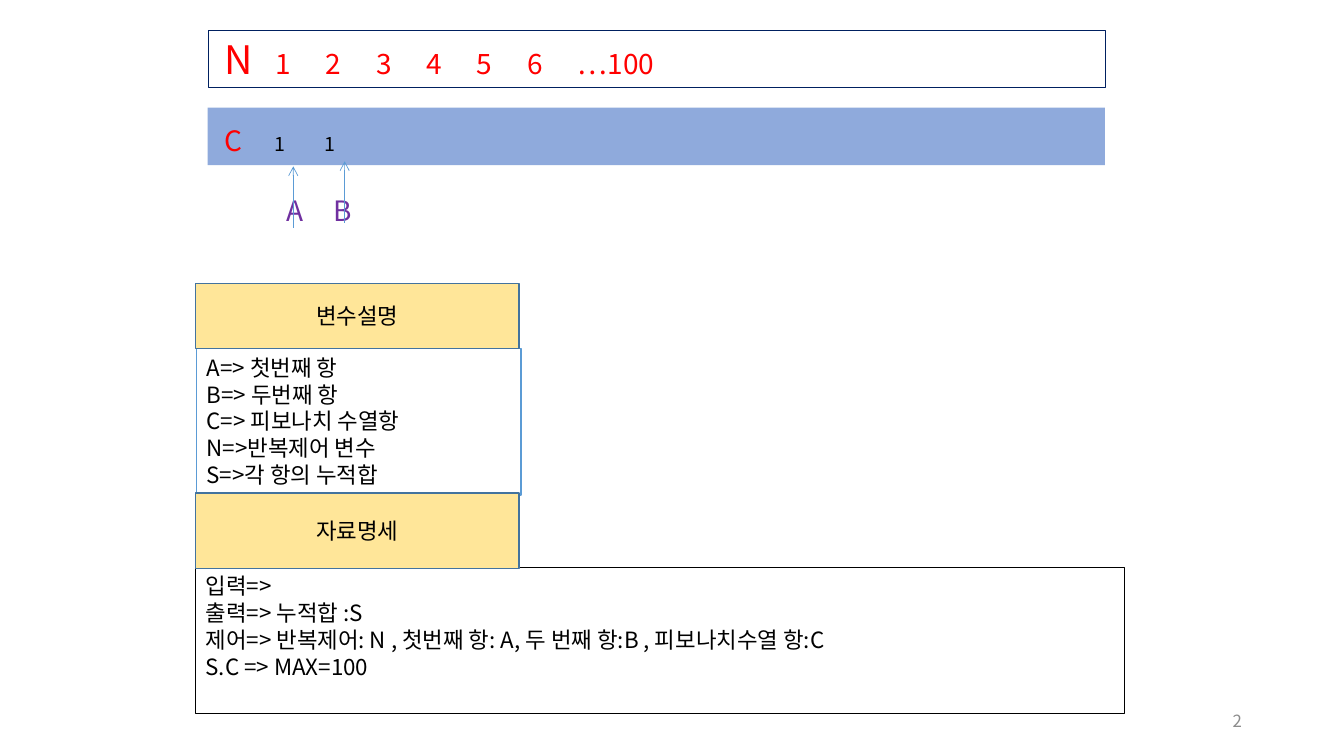
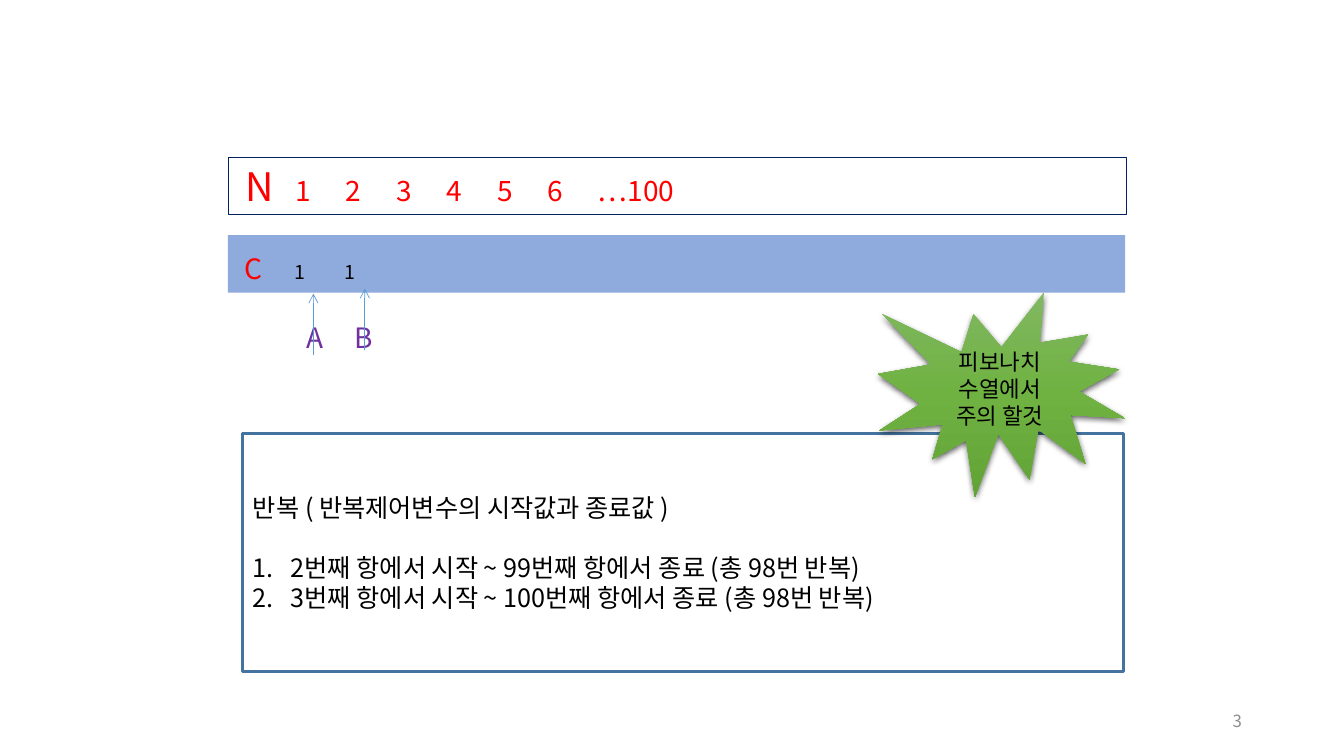
from copy import deepcopy
from dataclasses import dataclass
from typing import NamedTuple, Optional, Sequence, Union

from lxml.etree import SubElement
from pptx import Presentation
from pptx.dml.color import RGBColor
from pptx.enum.shapes import MSO_CONNECTOR as Connector, MSO_SHAPE as Preset
from pptx.enum.text import MSO_ANCHOR as Anchor, MSO_AUTO_SIZE as AutoSize, PP_ALIGN as Align
from pptx.oxml.ns import qn
from pptx.util import Pt

FONT = "Noto Sans CJK KR"
LINE_HEIGHT = 1.2
COLOURS = {
    "black": "000000", "white": "FFFFFF", "red": "FF0000", "purple": "7030A0",
    "navy": "002060", "band": "8FAADC", "blue": "5B9BD5", "steel": "43739E",
    "yellow": "FFE699", "grey": "8C8C8C",
    "green_top": "81B861", "green_middle": "6FB242", "green_bottom": "62A336",
}


class Box(NamedTuple):
    left: float
    top: float
    width: float
    height: float

    def moved(self, across: float, down: float) -> "Box":
        return Box(self.left + across, self.top + down, self.width, self.height)


class Run(NamedTuple):
    text: str
    size: float
    colour: str


@dataclass(frozen=True)
class Style:
    fill: Optional[str] = None
    line: Optional[str] = None
    line_width: float = 0.75


@dataclass(frozen=True)
class Pointer:
    label: str
    label_left: float
    arrow_left: float
    arrow_top: float


# Shared parts
OUTLINED = Style(line="navy")
BAND = Style(fill="band")
HEADING = Style(fill="yellow", line="steel", line_width=1)
ROW_INDENT = 4.5
NUMBER_BOX = Box(678.2, 500.4, 216, 28.8)

N_BOX = Box(149, 21.6, 641, 41)
C_BOX = Box(148.3, 77, 641, 41)
N_TABS = [31] + [69 + 42.5 * step for step in range(5)] + [268]
C_TABS = [28, 60.8]
N_RUNS = [
    Run("N", 28, "red"),
    Run("\t" + "\t".join([*map(str, range(1, 7)), "…100"]), 20, "red"),
]
C_RUNS = [Run("C", 20, "red"), Run("\t", 28, "red"), Run("1\t1", 14, "black")]
POINTERS = [Pointer("A", 193, 209.5, 118.8), Pointer("B", 226.8, 246.2, 115.2)]
ARROW_LENGTH = 43.9


def rgb(name: str) -> RGBColor:
    return RGBColor.from_string(COLOURS[name])


def write(shape, paragraphs: Sequence[Union[str, Sequence[Run]]], *, size: float = 16,
          colour: str = "black", align=Align.LEFT, anchor=Anchor.TOP, indent: float = 0,
          tabs: Sequence[float] = (), numbered_from: Optional[int] = None,
          first_gap: float = 0) -> None:
    """Fill a shape with formatted paragraphs."""
    frame = shape.text_frame
    frame.word_wrap = True
    frame.auto_size = AutoSize.NONE
    frame.vertical_anchor = anchor
    frame.margin_left = Pt(7.2 + indent)
    for index, content in enumerate(paragraphs):
        paragraph = frame.paragraphs[0] if index == 0 else frame.add_paragraph()
        runs = [Run(content, size, colour)] if isinstance(content, str) else content
        paragraph.alignment = align
        paragraph.line_spacing = Pt(LINE_HEIGHT * max(run.size for run in runs))
        paragraph.space_before = Pt(0)
        paragraph.space_after = Pt(first_gap if index == 0 else 0)
        numbered = numbered_from is not None and index >= numbered_from
        hanging = Pt(27 if numbered else 0)
        properties = paragraph._p.get_or_add_pPr()
        properties.set("marL", str(hanging))
        properties.set("indent", str(-hanging))
        if numbered:
            SubElement(properties, qn("a:buFont"), typeface=FONT)
            SubElement(properties, qn("a:buAutoNum"), type="arabicPeriod")
        else:
            SubElement(properties, qn("a:buNone"))
        if tabs:
            stops = SubElement(properties, qn("a:tabLst"))
            for position in tabs:
                SubElement(stops, qn("a:tab"), pos=str(Pt(position)), algn="l")
        for item in runs:
            run = paragraph.add_run()
            run.text = item.text
            run.font.size = Pt(item.size)
            run.font.color.rgb = rgb(item.colour)
            run.font.name = FONT
            SubElement(run._r.get_or_add_rPr(), qn("a:ea"), typeface=FONT)


def apply_style(shape, style: Style) -> None:
    if style.fill:
        shape.fill.solid()
        shape.fill.fore_color.rgb = rgb(style.fill)
    else:
        shape.fill.background()
    if style.line:
        shape.line.color.rgb = rgb(style.line)
        shape.line.width = Pt(style.line_width)
    else:
        shape.line.fill.background()


def add_box(slide, box: Box, style: Style, preset=Preset.RECTANGLE):
    shape = slide.shapes.add_shape(preset, *map(Pt, box))
    shape.shadow.inherit = False
    apply_style(shape, style)
    return shape


def add_label(slide, box: Box, text: str, **text_format) -> None:
    write(slide.shapes.add_textbox(*map(Pt, box)), [text], **text_format)


def place_list(placeholder, box: Box, style: Style, lines: Sequence[str], **text_format) -> None:
    placeholder.left, placeholder.top, placeholder.width, placeholder.height = map(Pt, box)
    apply_style(placeholder, style)
    write(placeholder, lines, **text_format)


def add_arrow(slide, left: float, top: float) -> None:
    """Draw a thin arrow that points up."""
    arrow = slide.shapes.add_connector(
        Connector.STRAIGHT, Pt(left), Pt(top + ARROW_LENGTH), Pt(left), Pt(top))
    arrow.line.color.rgb = rgb("blue")
    arrow.line.width = Pt(0.5)
    SubElement(arrow.line._get_or_add_ln(), qn("a:tailEnd"), type="arrow")
    SubElement(arrow._element.spPr, qn("a:effectLst"))


def add_sequence(slide, across: float = 0, down: float = 0) -> None:
    """Draw the N and C rows with the pointers A and B."""
    for box, style, runs, tabs in ((N_BOX, OUTLINED, N_RUNS, N_TABS),
                                   (C_BOX, BAND, C_RUNS, C_TABS)):
        row = add_box(slide, box.moved(across, down), style)
        write(row, [runs], indent=ROW_INDENT, tabs=tabs)
    for pointer in POINTERS:
        label_box = Box(pointer.label_left, 134.6, 33.8, 55.4).moved(across, down)
        add_label(slide, label_box, pointer.label, size=20, colour="purple", indent=ROW_INDENT)
        add_arrow(slide, pointer.arrow_left + across, pointer.arrow_top + down)


def add_seal(slide, box: Box, text: str) -> None:
    seal = add_box(slide, box, Style(), Preset.EXPLOSION1)
    # Three-stop gradient from top to bottom
    seal.fill.gradient()
    seal.fill.gradient_angle = 270
    for stop, colour in zip(seal.fill.gradient_stops, ("green_top", "green_bottom")):
        stop.color.rgb = rgb(colour)
    first = seal._element.xpath(".//a:gs")[0]
    middle = deepcopy(first)
    middle.set("pos", "50000")
    middle[0].set("val", COLOURS["green_middle"])
    first.addnext(middle)
    # Soft shadow below
    effects = seal._element.spPr.find(qn("a:effectLst"))
    shadow = SubElement(effects, qn("a:outerShdw"), blurRad=str(Pt(4.5)), dist=str(Pt(1.5)),
                        dir="5400000", algn="ctr", rotWithShape="0")
    shade = SubElement(shadow, qn("a:srgbClr"), val=COLOURS["black"])
    SubElement(shade, qn("a:alpha"), val="63000")
    write(seal, [text], align=Align.CENTER, anchor=Anchor.MIDDLE)


def new_slide(presentation, layout_name: str, number: int):
    """Add a slide without a title and return it with its body placeholders."""
    slide = presentation.slides.add_slide(presentation.slide_layouts.get_by_name(layout_name))
    title = slide.shapes.title._element
    title.getparent().remove(title)
    add_label(slide, NUMBER_BOX, str(number), size=12, colour="grey",
              align=Align.RIGHT, anchor=Anchor.MIDDLE)
    return slide, list(slide.placeholders)


def build_variables(presentation) -> None:
    slide, (variables, data) = new_slide(presentation, "Two Content", 2)
    add_sequence(slide)
    place_list(variables, Box(140.4, 249.1, 231.8, 104.4), Style("white", "blue", 1), [
        "A=> 첫번째 항",
        "B=> 두번째 항",
        "C=> 피보나치 수열항",
        "N=>반복제어 변수",
        "S=>각 항의 누적합",
    ])
    place_list(data, Box(139.7, 405.4, 663.8, 104.4), Style(line="black"), [
        "입력=>",
        "출력=> 누적합 :S",
        "제어=> 반복제어: N , 첫번째 항: A, 두 번째 항:B , 피보나치수열 항:C",
        "S.C => MAX=100",
    ])
    for text, top, height in (("변수설명", 202.3, 46.8), ("자료명세", 352.1, 54)):
        heading = add_box(slide, Box(139.7, top, 231.1, height), HEADING)
        write(heading, [text], align=Align.CENTER, anchor=Anchor.MIDDLE)


def build_loop(presentation) -> None:
    slide, (loop,) = new_slide(presentation, "Title and Content", 3)
    add_sequence(slide, 14.4, 91)
    place_list(loop, Box(173.5, 309.6, 629.3, 169.9), Style(line="steel", line_width=2.25), [
        "반복 ( 반복제어변수의 시작값과 종료값 )",
        "2번째 항에서 시작 ~ 99번째 항에서 종료 (총 98번 반복)",
        "3번째 항에서 시작 ~ 100번째 항에서 종료 (총 98번 반복)",
    ], size=18, anchor=Anchor.MIDDLE, numbered_from=1, first_gap=21.6)
    add_seal(slide, Box(627.1, 208.8, 176.4, 146.2), "피보나치 수열에서 주의 할것")


def main() -> None:
    presentation = Presentation()
    presentation.slide_width, presentation.slide_height = Pt(960), Pt(540)
    build_variables(presentation)
    build_loop(presentation)
    presentation.save("out.pptx")


if __name__ == "__main__":
    main()
